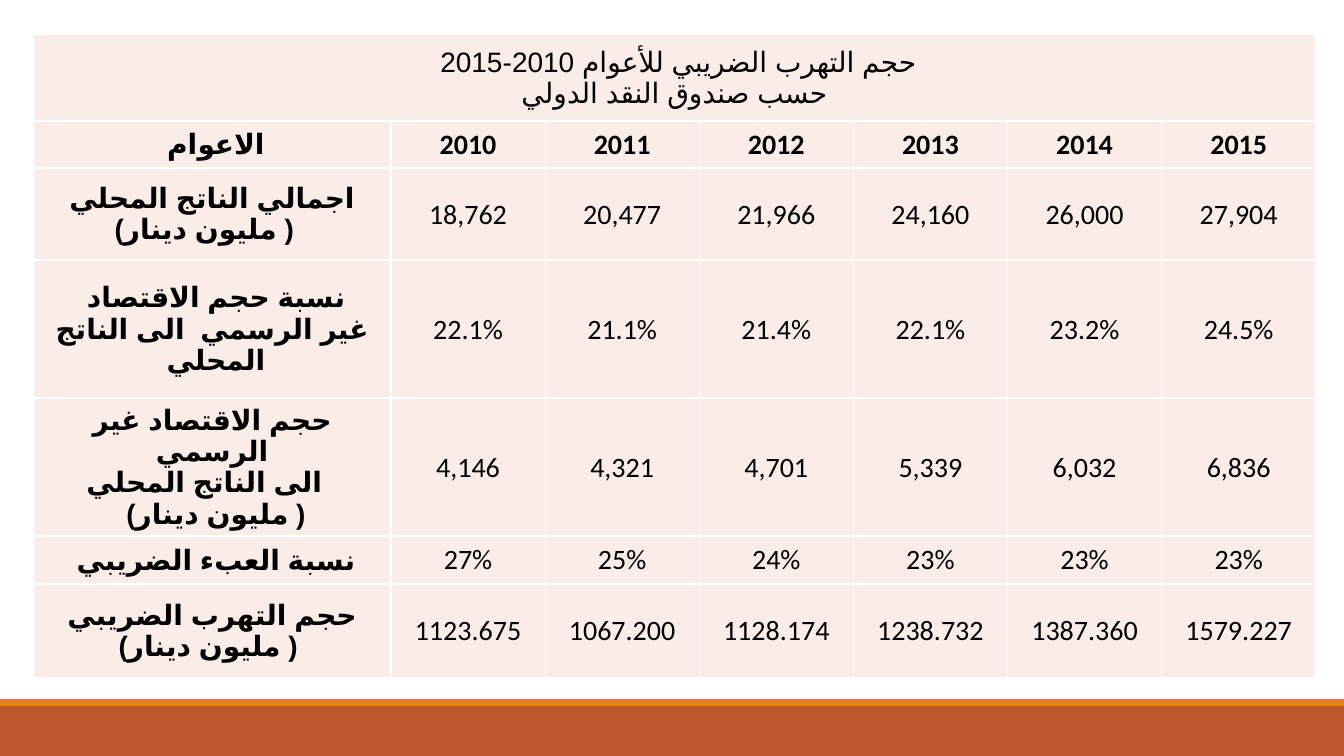
from lxml.etree import SubElement
from pptx import Presentation
from pptx.dml.color import RGBColor
from pptx.enum.lang import MSO_LANGUAGE_ID
from pptx.enum.shapes import MSO_SHAPE
from pptx.enum.text import MSO_ANCHOR, PP_ALIGN
from pptx.oxml.ns import qn
from pptx.util import Pt

PX = 914400 / 100.8
COLORS = {"footer": "BD582C", "accent": "E48312", "cell": "FAEDE7",
          "border": "FFFFFF", "text": "000000"}
TITLE = "حجم التهرب الضريبي للأعوام 2010-2015 \nحسب صندوق النقد الدولي"
ROWS = [
    ("الاعوام ", "2010", "2011", "2012", "2013", "2014", "2015"),
    ("اجمالي الناتج المحلي\n  ( مليون دينار)",
     "18,762", "20,477", "21,966", "24,160", "26,000", "27,904"),
    ("نسبة حجم الاقتصاد \nغير الرسمي  الى الناتج المحلي ",
     "22.1%", "21.1%", "21.4%", "22.1%", "23.2%", "24.5%"),
    ("حجم الاقتصاد غير الرسمي\n  الى الناتج المحلي\n( مليون دينار) ",
     "4,146", "4,321", "4,701", "5,339", "6,032", "6,836"),
    ("نسبة العبء الضريبي ", "27%", "25%", "24%", "23%", "23%", "23%"),
    ("حجم التهرب الضريبي\n ( مليون دينار)",
     "1123.675", "1067.200", "1128.174", "1238.732", "1387.360", "1579.227"),
]
ROW_HEIGHTS = [87, 47, 92, 138, 138, 48, 94]
LABEL_WIDTH = 358


def px(length):
    """Turn pixels into EMU."""
    return round(length * PX)


def color(name):
    """Look up a named colour."""
    return RGBColor.from_string(COLORS[name])


def add_bar(slide, left, top, width, height, fill):
    """Draw one plain band."""
    bar = slide.shapes.add_shape(MSO_SHAPE.RECTANGLE, px(left), px(top), px(width), px(height))
    bar.shadow.inherit = False
    bar.fill.solid()
    bar.fill.fore_color.rgb = color(fill)
    bar.line.fill.background()


def add_footer(slide, left, top, width, height):
    """Draw the footer band with its thin accent strip on top."""
    strip = 7
    add_bar(slide, left, top + strip, width, height - strip, "footer")
    add_bar(slide, left, top, width, strip, "accent")


def style_cell(cell):
    """Give a cell its borders, fill, margins and anchor."""
    properties = cell._tc.get_or_add_tcPr()
    for side in ("lnL", "lnR", "lnT", "lnB"):
        border = SubElement(properties, qn(f"a:{side}"), w=str(Pt(1)))
        fill = SubElement(border, qn("a:solidFill"))
        SubElement(fill, qn("a:srgbClr"), val=COLORS["border"])
    cell.fill.solid()
    cell.fill.fore_color.rgb = color("cell")
    cell.margin_left = cell.margin_right = cell.margin_top = px(1)
    cell.margin_bottom = 0
    cell.vertical_anchor = MSO_ANCHOR.MIDDLE


def write_cell(cell, text, bold, arabic):
    """Write centred text, right to left where it is Arabic."""
    paragraph = cell.text_frame.paragraphs[0]
    paragraph.text = text
    paragraph.alignment = PP_ALIGN.CENTER
    font = paragraph.font
    font.name, font.size, font.bold = "Calibri", Pt(20), bold
    font.color.rgb = color("text")
    if arabic:
        paragraph._p.get_or_add_pPr().set("rtl", "1")
        for run in paragraph.runs:
            run.font.language_id = MSO_LANGUAGE_ID.ARABIC_JORDAN
            run.font.bold = bold
            SubElement(run.font._element, qn("a:cs"), typeface="Arial")


def add_tax_table(slide, left, top, width, height):
    """Build the tax evasion table, with a title row across all columns."""
    columns = len(ROWS[0])
    frame = slide.shapes.add_table(len(ROW_HEIGHTS), columns,
                                   px(left), px(top), px(width), px(height))
    table = frame.table
    table.first_row = table.horz_banding = False
    year_width = (width - LABEL_WIDTH) / (columns - 1)
    for index, column in enumerate(table.columns):
        column.width = px(year_width if index else LABEL_WIDTH)
    for row, row_height in zip(table.rows, ROW_HEIGHTS):
        row.height = px(row_height)
    for cell in table.iter_cells():
        style_cell(cell)
    table.cell(0, 0).merge(table.cell(0, columns - 1))
    write_cell(table.cell(0, 0), TITLE, bold=False, arabic=True)
    for row_index, row in enumerate(ROWS, start=1):
        for column_index, text in enumerate(row):
            is_label = column_index == 0
            write_cell(table.cell(row_index, column_index), text,
                       bold=is_label or row_index == 1, arabic=is_label)


def main():
    """Build and save the slide."""
    presentation = Presentation()
    presentation.slide_width, presentation.slide_height = px(1344), px(756)
    slide = presentation.slides.add_slide(presentation.slide_layouts[6])
    add_footer(slide, 0, 699, 1344, 57)
    add_tax_table(slide, 33, 34, 1283, sum(ROW_HEIGHTS))
    presentation.save("out.pptx")


if __name__ == "__main__":
    main()
